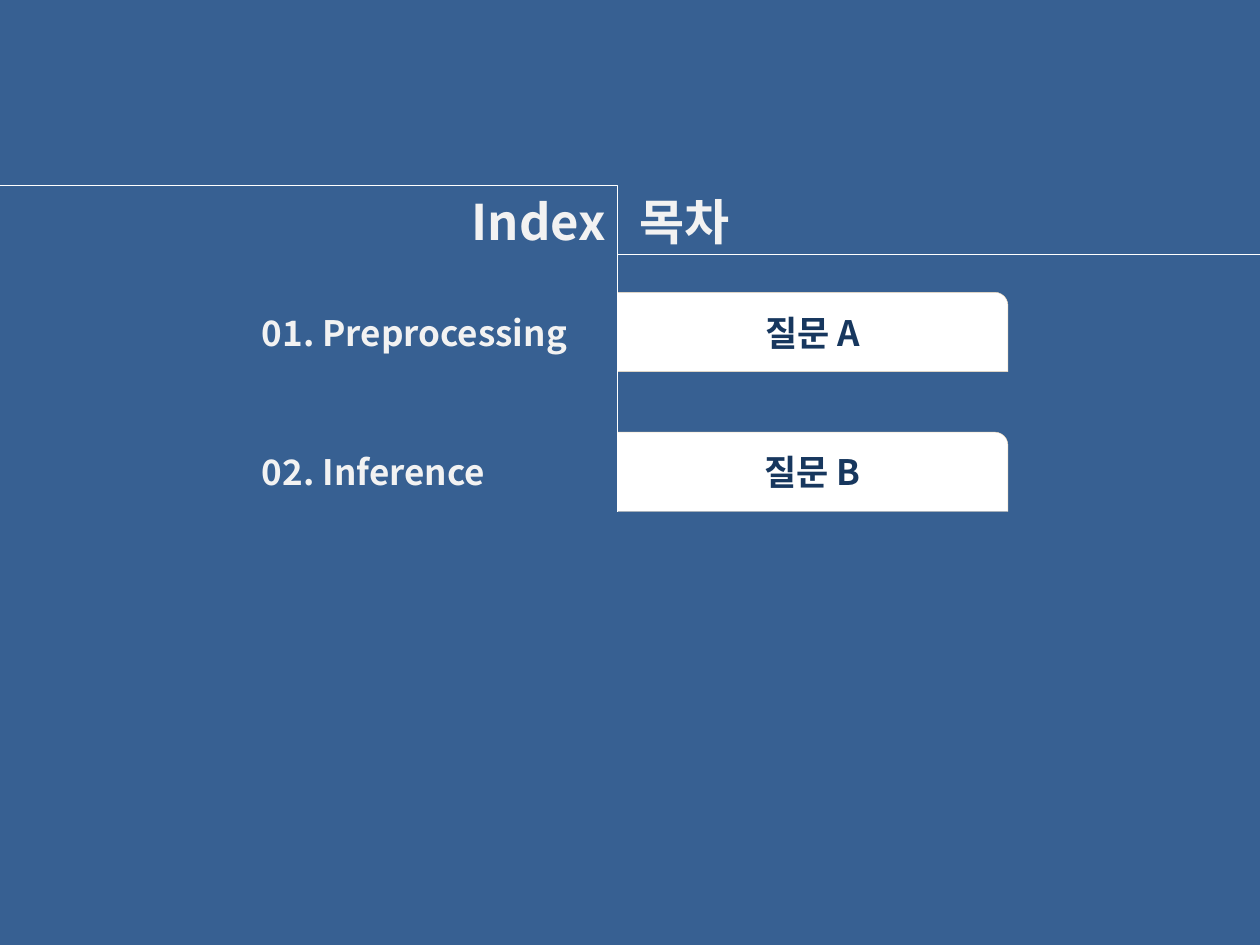
from lxml.etree import SubElement
from pptx import Presentation
from pptx.dml.color import RGBColor
from pptx.enum.shapes import MSO_CONNECTOR as Connector, MSO_SHAPE as Shape
from pptx.enum.text import MSO_ANCHOR as Anchor, MSO_AUTO_SIZE as AutoSize, PP_ALIGN as Align
from pptx.oxml import parse_xml
from pptx.oxml.ns import nsdecls, qn
from pptx.util import Inches, Pt

BLUE = RGBColor(0x37, 0x60, 0x92)
NAVY = RGBColor(0x17, 0x37, 0x5E)
WHITE = RGBColor(0xFF, 0xFF, 0xFF)
PALE = RGBColor(0xF2, 0xF2, 0xF2)
GREY = RGBColor(0xD9, 0xD9, 0xD9)
CREAM = RGBColor(0xF3, 0xDD, 0xBE)
FONT = "Noto Sans CJK KR"

SPINE, RULE_TOP, RULE_BOTTOM, RULE_END = 4.9, 1.47, 2.02, 10.28
FIRST_ROW, ROW_STEP = 2.32, 1.11
CARD_WIDTH, CARD_HEIGHT = 3.1, 0.63
LABEL_LEFT, LABEL_WIDTH, LABEL_HEIGHT, LABEL_INSET = 1.98, 2.9, 0.44, 0.1
SECTIONS = [("01. Preprocessing", "질문 A"), ("02. Inference", "질문 B")]


def set_all(target, values):
    """Set each named attribute on the target."""
    for name, value in values.items():
        setattr(target, name, value)


def add_run(paragraph, text, size, color, spacing=0):
    """Add a bold run with a faint outline and optional letter spacing in points."""
    run = paragraph.add_run()
    run.text = text
    set_all(run.font, {"size": Pt(size), "bold": True, "name": FONT})
    run.font.color.rgb = color
    properties = run.font._element
    SubElement(properties, qn("a:ea")).set("typeface", FONT)
    properties.insert(0, parse_xml(
        f'<a:ln {nsdecls("a")} w="{Pt(0.75)}"><a:solidFill><a:srgbClr val="{GREY}">'
        '<a:alpha val="30000"/></a:srgbClr></a:solidFill></a:ln>'))
    if spacing:
        properties.set("spc", str(int(spacing * 100)))


def prepare_text(holder, align):
    """Format the text frame and return its first paragraph."""
    set_all(holder.text_frame, {
        "word_wrap": True,
        "auto_size": AutoSize.SHAPE_TO_FIT_TEXT,
        "vertical_anchor": Anchor.TOP,
    })
    paragraph = holder.text_frame.paragraphs[0]
    paragraph.alignment = align
    return paragraph


def add_title(slide):
    """Place the bilingual heading on both sides of the spine."""
    title = slide.shapes.title
    set_all(title, {"left": Inches(3.27), "top": Inches(RULE_TOP),
                    "width": Inches(2.99), "height": Inches(0.57)})
    paragraph = prepare_text(title, Align.CENTER)
    for text, spacing in (("Index", 0), (" ", 12.6), ("목차", 0)):
        add_run(paragraph, text, 28, PALE, spacing)


def add_label(slide, text, left, top, width, color, align):
    """Add one line of section text."""
    label = slide.shapes.add_textbox(
        Inches(left), Inches(top), Inches(width), Inches(LABEL_HEIGHT))
    add_run(prepare_text(label, align), text, 20, color)


def add_card(slide, top):
    """Add a white card with one rounded corner."""
    card = slide.shapes.add_shape(
        Shape.ROUND_1_RECTANGLE, Inches(SPINE), Inches(top),
        Inches(CARD_WIDTH), Inches(CARD_HEIGHT))
    card.shadow.inherit = False
    card.fill.solid()
    card.fill.fore_color.rgb = WHITE
    card.line.color.rgb = CREAM
    card.line.width = Pt(0.25)


def add_rule(slide, kind, start, end):
    """Add a thin white connector without a shadow."""
    rule = slide.shapes.add_connector(kind, *map(Inches, (*start, *end)))
    rule.line.color.rgb = WHITE
    rule.line.width = Pt(0.75)
    SubElement(rule._element.spPr, qn("a:effectLst"))
    return rule


def add_heading_rule(slide):
    """Add the stepped rule that bends at the spine."""
    rule = add_rule(slide, Connector.ELBOW, (0, RULE_TOP), (RULE_END, RULE_BOTTOM))
    geometry = rule._element.spPr.find(qn("a:prstGeom"))
    adjustments = geometry.find(qn("a:avLst"))
    if adjustments is None:
        adjustments = SubElement(geometry, qn("a:avLst"))
    bend = SubElement(adjustments, qn("a:gd"))
    bend.set("name", "adj1")
    bend.set("fmla", f"val {round(SPINE / RULE_END * 100000)}")


def main():
    """Build and save the index slide."""
    deck = Presentation()
    set_all(deck, {"slide_width": Inches(10), "slide_height": Inches(7.5)})
    slide = deck.slides.add_slide(deck.slide_layouts[5])
    slide.background.fill.solid()
    slide.background.fill.fore_color.rgb = BLUE

    add_title(slide)
    add_heading_rule(slide)
    for row, (section, question) in enumerate(SECTIONS):
        top = FIRST_ROW + row * ROW_STEP
        add_card(slide, top)
        add_label(slide, question, SPINE, top + LABEL_INSET, CARD_WIDTH, NAVY, Align.CENTER)
        add_label(slide, section, LABEL_LEFT, top + LABEL_INSET, LABEL_WIDTH, PALE, Align.LEFT)
    add_rule(slide, Connector.STRAIGHT, (SPINE, RULE_BOTTOM), (SPINE, top + CARD_HEIGHT))
    deck.save("out.pptx")


if __name__ == "__main__":
    main()
